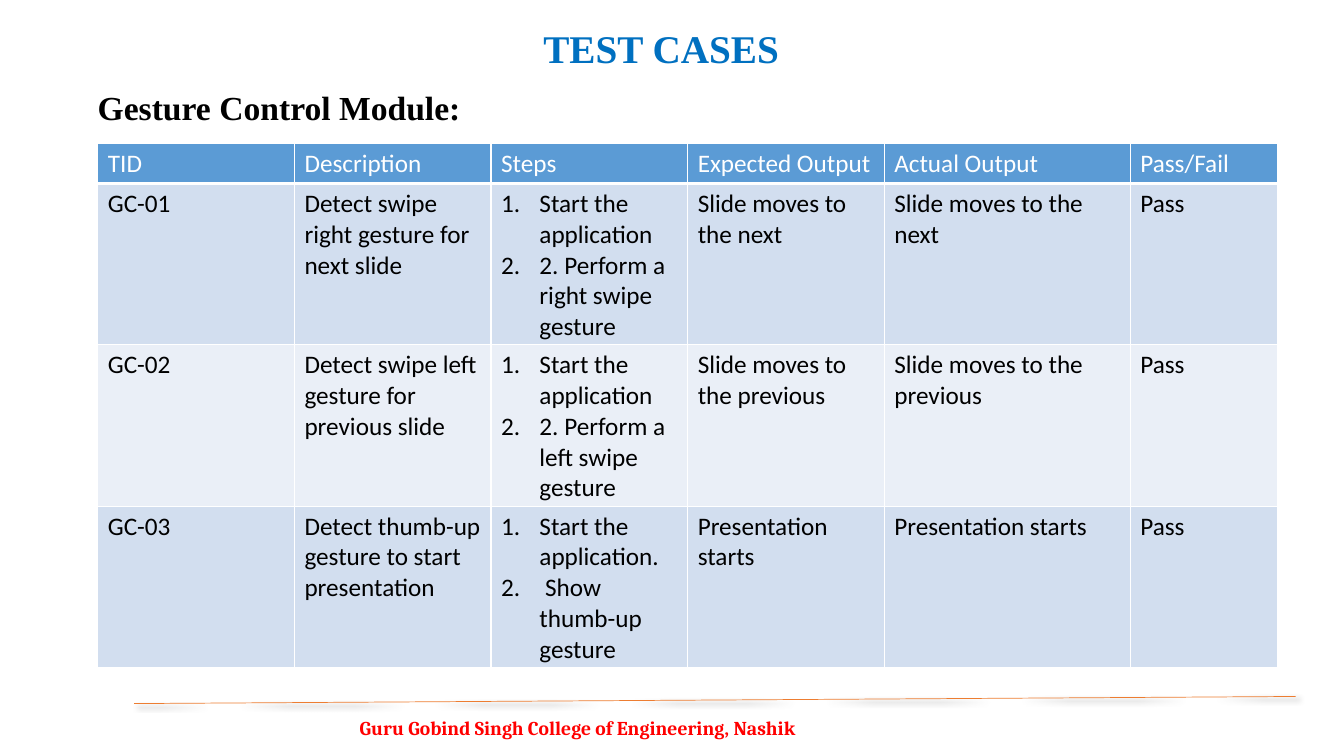
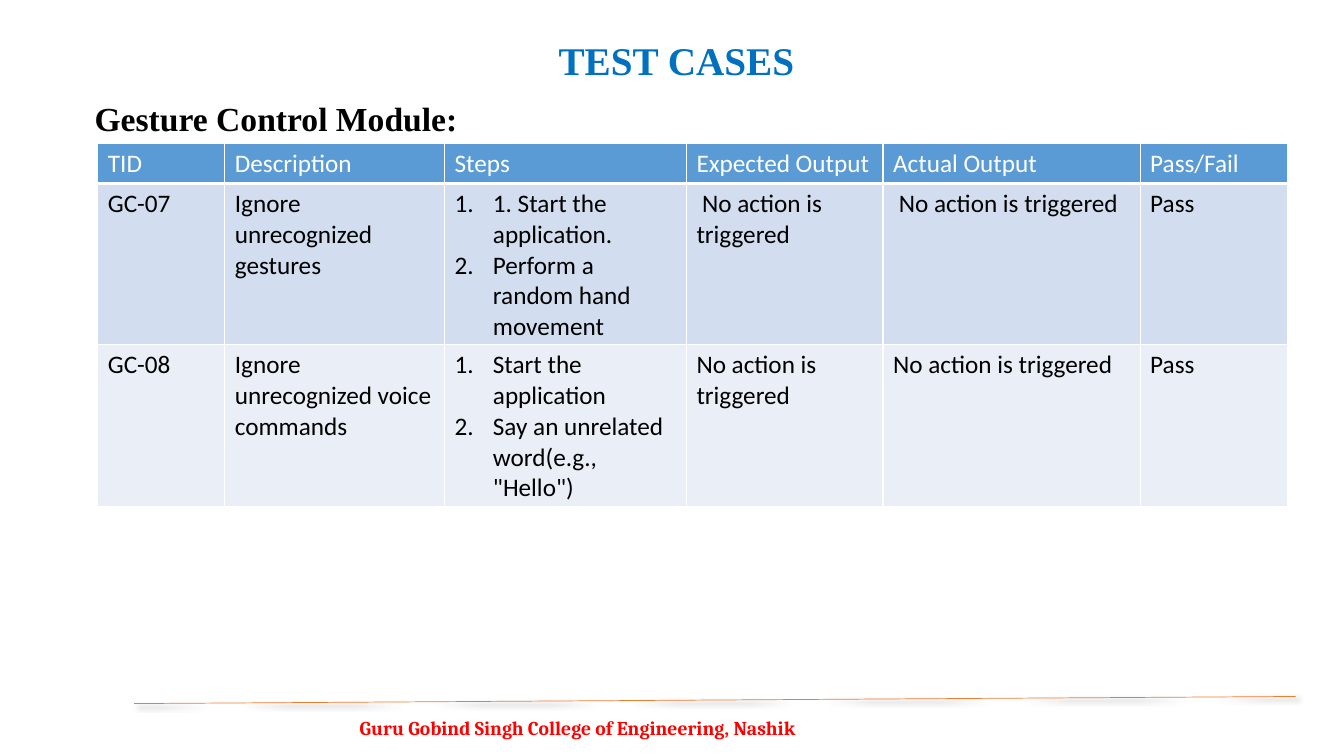
from lxml import etree
from pptx import Presentation, util as u
from pptx.dml.color import RGBColor
from pptx.enum import shapes, text
from pptx.oxml import parse_xml
from pptx.oxml.ns import nsdecls, qn

# Shared style
SERIF, SANS = "Times New Roman", "Calibri"
BLUE, BLACK, WHITE, RED, ORANGE = "0070C0", "000000", "FFFFFF", "FF0000", "ED7D31"
HEAD, BANDS = "5B9BD5", ("D2DEEF", "EAEFF7")
LABELS = ["TID", "Description", "Steps", "Expected Output", "Actual Output", "Pass/Fail"]

deck = Presentation()
deck.slide_width, deck.slide_height = u.Inches(13.33), u.Inches(7.5)
col, row = deck.slide_width / 100, deck.slide_height / 100


def paint(color, hue):
    color.rgb = RGBColor.from_string(hue)


def write(para, words, size, font, hue, bold=False):
    run = para.add_run()
    run.text = words
    run.font.size, run.font.name, run.font.bold = u.Pt(size), font, bold
    paint(run.font.color, hue)


# Each slide: title corner, subtitle corner, column widths, test cases
pages = [
    ((39.68, 2.53), (6.53, 10.8), [14.63, 14.63, 14.63, 14.63, 18.3, 10.95], [
        ["GC-01", "Detect swipe right gesture for next slide",
         ["Start the application", "2. Perform a right swipe gesture"],
         "Slide moves to the next", "Slide moves to the next", "Pass"],
        ["GC-02", "Detect swipe left gesture for previous slide",
         ["Start the application", "2. Perform a left swipe gesture"],
         "Slide moves to the previous", "Slide moves to the previous", "Pass"],
        ["GC-03", "Detect thumb-up gesture to start presentation",
         ["Start the application.", " Show thumb-up gesture"],
         "Presentation starts", "Presentation starts", "Pass"],
    ]),
    ((40.81, 4.13), (6.3, 12.27), [9.45, 16.35, 18, 14.63, 19.13, 10.95], [
        ["GC-07", "Ignore unrecognized gestures",
         ["1. Start the application.", "Perform a random hand movement"],
         " No action is triggered", " No action is triggered", "Pass"],
        ["GC-08", "Ignore unrecognized voice commands",
         ["Start the application", 'Say an unrelated word(e.g., "Hello")'],
         "No action is triggered", "No action is triggered", "Pass"],
    ]),
]

for spot, sub, widths, cases in pages:
    slide = deck.slides.add_slide(deck.slide_layouts[5])

    # Footer
    foot = slide.shapes.add_textbox(
        int(26.03 * col), int(94.4 * row), int(43.74 * col), int(5.6 * row)).text_frame
    foot.word_wrap = True
    foot.paragraphs[0].line_spacing = 0.9
    write(foot.paragraphs[0], "Guru Gobind Singh College of Engineering, Nashik",
          14, "Cambria", RED, True)

    # Footer rule with a soft shadow
    rule = slide.shapes.add_connector(
        shapes.MSO_CONNECTOR.STRAIGHT,
        int(9.98 * col), int(93.07 * row), int(96.4 * col), int(92.13 * row))
    rule.line.width = u.Pt(0.5)
    paint(rule.line.color, ORANGE)
    rule._element.spPr.append(parse_xml(
        f'<a:effectLst {nsdecls("a")}><a:outerShdw blurRad="{u.Pt(4)}" dist="{u.Pt(3)}" '
        f'dir="2700000" algn="tl" rotWithShape="0"><a:srgbClr val="{BLACK}">'
        '<a:alpha val="40000"/></a:srgbClr></a:outerShdw></a:effectLst>'))

    # Title
    title = slide.shapes.title
    title.left, title.top = int(spot[0] * col), int(spot[1] * row)
    title.width, title.height = int(37.58 * col), int(7.6 * row)
    frame = title.text_frame
    frame.vertical_anchor = text.MSO_ANCHOR.TOP
    frame.auto_size = text.MSO_AUTO_SIZE.NONE
    frame.paragraphs[0].alignment = text.PP_ALIGN.LEFT
    write(frame.paragraphs[0], "TEST CASES", 28, SERIF, BLUE, True)

    # Subtitle
    frame = slide.shapes.add_textbox(
        int(sub[0] * col), int(sub[1] * row), int(75.69 * col), int(6.67 * row)).text_frame
    frame.word_wrap = True
    write(frame.paragraphs[0], "Gesture Control Module:", 24, SERIF, BLACK, True)

    # Table of test cases
    rows = [LABELS] + cases
    tall = [5.33] + [21.33] * len(cases)
    grid = slide.shapes.add_table(
        len(rows), len(LABELS), int(7.28 * col), int(18.93 * row),
        int(sum(widths) * col), int(sum(tall) * row)).table
    grid.horz_banding = False
    for part, wide in zip(grid.columns, widths):
        part.width = int(wide * col)
    for r, items in enumerate(rows):
        grid.rows[r].height = int(tall[r] * row)
        for c, item in enumerate(items):
            cell = grid.cell(r, c)
            cell.fill.solid()
            paint(cell.fill.fore_color, BANDS[(r - 1) % 2] if r else HEAD)

            # White borders, heavier under the header
            props = cell._tc.get_or_add_tcPr()
            for n, side in enumerate("LRTB"):
                thick = 3 if r == 0 and side == "B" else 1
                props.insert(n, parse_xml(
                    f'<a:ln{side} {nsdecls("a")} w="{u.Pt(thick)}"><a:solidFill>'
                    f'<a:srgbClr val="{WHITE}"/></a:solidFill></a:ln{side}>'))

            # Cell text, with lists numbered
            steps = isinstance(item, list)
            for n, words in enumerate(item if steps else [item]):
                frame = cell.text_frame
                para = frame.add_paragraph() if n else frame.paragraphs[0]
                if steps:
                    props = para._p.get_or_add_pPr()
                    props.set("marL", str(u.Inches(0.38)))
                    props.set("indent", str(-u.Inches(0.38)))
                    etree.SubElement(props, qn("a:buAutoNum"), type="arabicPeriod")
                write(para, words, 18, SANS, BLACK if r else WHITE)

deck.save("out.pptx")
